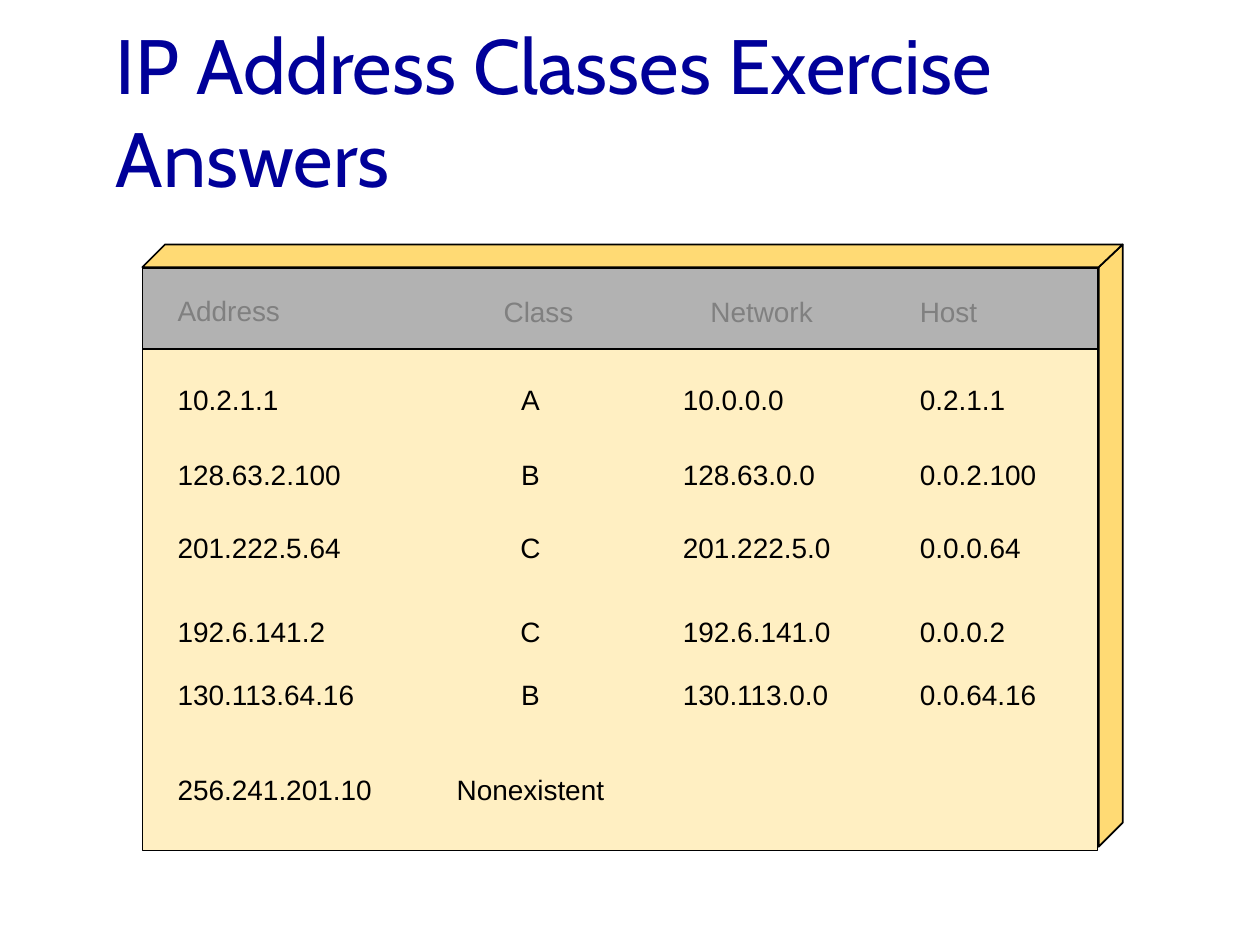
from pptx import Presentation
from pptx.dml.color import RGBColor
from pptx.enum.shapes import MSO_SHAPE
from pptx.enum.text import MSO_ANCHOR, MSO_AUTO_SIZE, PP_ALIGN
from pptx.util import Inches, Pt

LEFT, CENTER = PP_ALIGN.LEFT, PP_ALIGN.CENTER
MIDDLE = MSO_ANCHOR.MIDDLE
GROW, FIXED = MSO_AUTO_SIZE.SHAPE_TO_FIT_TEXT, MSO_AUTO_SIZE.NONE
RECTANGLE = MSO_SHAPE.RECTANGLE

NAVY = RGBColor(0x00, 0x00, 0x99)
BLACK = RGBColor(0x00, 0x00, 0x00)
GRAY = RGBColor(0x80, 0x80, 0x80)
HEADER_GRAY = RGBColor(0xB2, 0xB2, 0xB2)
CREAM = RGBColor(0xFF, 0xEF, 0xC2)
GOLD = RGBColor(0xFF, 0xDA, 0x74)

# Content
TITLE = "IP Address Classes Exercise Answers"

# Headers: text, left, top, width, alignment
HEADERS = [
    ("Address", 1.41, 2.35, 1.17, LEFT),
    ("Class", 3.36, 2.36, 1.83, CENTER),
    ("Network", 5.42, 2.36, 1.25, CENTER),
    ("Host", 7.3, 2.36, 1.42, LEFT),
]

# Columns: anchor x (left edge or centre), alignment, (answer, box width) per row
ROW_TOPS = [3.06, 3.65, 4.23, 4.9, 5.4, 6.15]
COLUMNS = [
    (1.41, LEFT, [("10.2.1.1", 2.08), ("128.63.2.100", 1.75), ("201.222.5.64", 2.34),
                  ("192.6.141.2", 1.84), ("130.113.64.16", 1.92), ("256.241.201.10", 2)]),
    (4.21, CENTER, [("A", 0.75), ("B", 1.08), ("C", 0.92),
                    ("C", 0.92), ("B", 0.92), ("Nonexistent", 1.83)]),
    (5.42, LEFT, [("10.0.0.0", 1.67), ("128.63.0.0", 1.42), ("201.222.5.0", 1.61),
                  ("192.6.141.0", 1.78), ("130.113.0.0", 1.92)]),
    (7.3, LEFT, [("0.2.1.1", 1.17), ("0.0.2.100", 1.87), ("0.0.0.64", 1.25),
                 ("0.0.0.2", 1.37), ("0.0.64.16", 1.87)]),
]
TEXT_HEIGHT = 0.25

# Panel geometry: front faces, then the bevelled side and top
FACES = [
    ((1.13, 2.27, 7.58, 4.48), CREAM),
    ((1.13, 2.13, 7.58, 0.64), HEADER_GRAY),
]
BEVELS = [
    [(8.91, 1.94), (8.72, 2.12), (8.72, 6.72), (8.91, 6.53)],
    [(1.13, 2.12), (1.31, 1.94), (8.91, 1.94), (8.72, 2.12)],
]


def apply(target, values):
    for name, value in values.items():
        setattr(target, name, value)


def paint(shape, color):
    shape.shadow.inherit = False
    shape.fill.solid()
    shape.fill.fore_color.rgb = color
    shape.line.color.rgb = BLACK
    shape.line.width = Pt(1)


def set_margins(frame, horizontal, vertical):
    apply(frame, {"margin_left": Inches(horizontal), "margin_right": Inches(horizontal),
                  "margin_top": Inches(vertical), "margin_bottom": Inches(vertical)})


def add_label(slide, text, left, top, width, alignment, color):
    box = slide.shapes.add_textbox(*map(Inches, (left, top, width, TEXT_HEIGHT)))
    frame = box.text_frame
    set_margins(frame, 0, 0)
    apply(frame, {"word_wrap": True, "vertical_anchor": MIDDLE, "auto_size": GROW})
    paragraph = frame.paragraphs[0]
    apply(paragraph, {"text": text, "alignment": alignment,
                      "line_spacing": 0.95, "space_before": Pt(10)})
    font = paragraph.runs[0].font
    apply(font, {"name": "Arial", "size": Pt(16)})
    font.color.rgb = color


def main():
    deck = Presentation()
    deck.slide_width, deck.slide_height = Inches(10), Inches(7.5)
    slide = deck.slides.add_slide(deck.slide_layouts[5])

    # Title
    title = slide.shapes.title
    apply(title, {"left": Inches(0.83), "top": Inches(0.25),
                  "width": Inches(8.7), "height": Inches(1.25)})
    frame = title.text_frame
    set_margins(frame, 0.09, 0.04)
    apply(frame, {"word_wrap": True, "vertical_anchor": MIDDLE, "auto_size": FIXED})
    paragraph = frame.paragraphs[0]
    apply(paragraph, {"text": TITLE, "alignment": LEFT})
    font = paragraph.runs[0].font
    apply(font, {"name": "Cabin", "size": Pt(44)})
    font.color.rgb = NAVY

    # Raised panel
    for bounds, color in FACES:
        paint(slide.shapes.add_shape(RECTANGLE, *map(Inches, bounds)), color)
    for corners in BEVELS:
        points = [(Inches(x), Inches(y)) for x, y in corners]
        builder = slide.shapes.build_freeform(*points[0])
        builder.add_line_segments(points[1:], close=True)
        paint(builder.convert_to_shape(), GOLD)

    # Column headers
    for header in HEADERS:
        add_label(slide, *header, GRAY)

    # Answers
    for anchor, alignment, answers in COLUMNS:
        for top, (answer, width) in zip(ROW_TOPS, answers):
            left = anchor - width / 2 if alignment == CENTER else anchor
            add_label(slide, answer, left, top, width, alignment, BLACK)

    deck.save("out.pptx")


if __name__ == "__main__":
    main()
